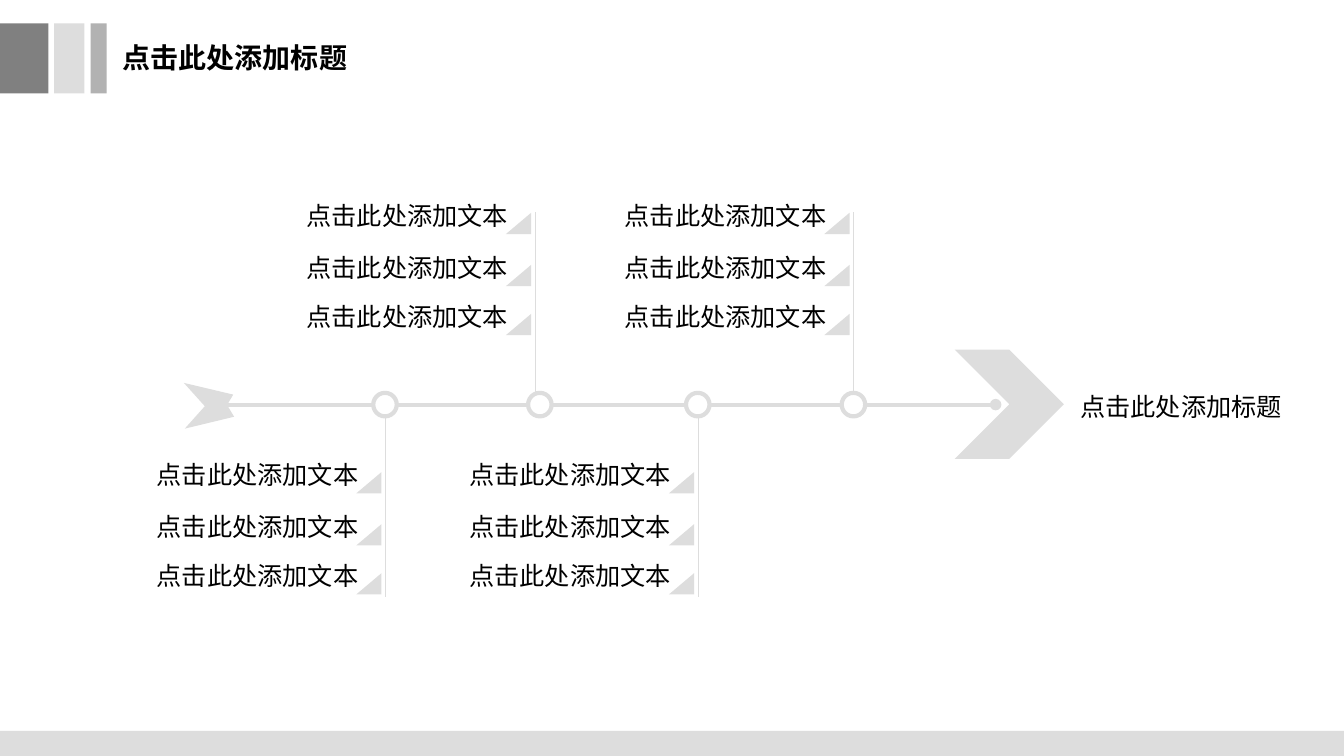
import dataclasses

import lxml.etree
import pptx
import pptx.dml.color
import pptx.enum.shapes
import pptx.enum.text
import pptx.oxml.ns
import pptx.util

Pt = pptx.util.Pt
SHAPES = pptx.enum.shapes.MSO_SHAPE
qn = pptx.oxml.ns.qn


@dataclasses.dataclass(frozen=True)
class Theme:
    font: str = "Noto Sans CJK SC"
    text: str = "000000"
    paper: str = "FFFFFF"
    light: str = "DDDDDD"
    medium: str = "B2B2B2"
    dark: str = "808080"
    title_size: float = 20
    body_size: float = 18


class TimelineSlide:
    def __init__(self, presentation, theme):
        self.theme = theme
        self.slide = presentation.slides.add_slide(presentation.slide_layouts[6])

    def color(self, name):
        return pptx.dml.color.RGBColor.from_string(getattr(self.theme, name))

    def shape(self, kind, left, top, width, height, fill="light", outline=0, rotation=0):
        shape = self.slide.shapes.add_shape(kind, Pt(left), Pt(top), Pt(width), Pt(height))
        shape.shadow.inherit = False
        shape.rotation = rotation
        shape.fill.solid()
        shape.fill.fore_color.rgb = self.color(fill)
        if outline:
            shape.line.color.rgb = self.color("light")
            shape.line.width = Pt(outline)
        else:
            shape.line.fill.background()
        return shape

    def line(self, start_x, start_y, end_x, end_y, weight, oval_start=False):
        connector = self.slide.shapes.add_connector(
            pptx.enum.shapes.MSO_CONNECTOR.STRAIGHT,
            Pt(start_x), Pt(start_y), Pt(end_x), Pt(end_y))
        connector.line.color.rgb = self.color("light")
        connector.line.width = Pt(weight)
        properties = connector._element.spPr
        lxml.etree.SubElement(properties, qn("a:effectLst"))
        if oval_start:
            head = lxml.etree.SubElement(properties.find(qn("a:ln")), qn("a:headEnd"))
            head.set("type", "oval")

    def text(self, words, left, top, width=170, height=29.5, size=None, bold=False):
        text_frame = self.slide.shapes.add_textbox(
            Pt(left), Pt(top), Pt(width), Pt(height)).text_frame
        text_frame.word_wrap = True
        text_frame.vertical_anchor = pptx.enum.text.MSO_ANCHOR.MIDDLE
        text_frame.text = words
        font = text_frame.paragraphs[0].runs[0].font
        font.name = self.theme.font
        font.size = Pt(size or self.theme.body_size)
        font.bold = bold
        font.color.rgb = self.color("text")
        east_asian = lxml.etree.SubElement(font._element, qn("a:ea"))
        east_asian.set("typeface", self.theme.font)

    def branch(self, node_left, stem_x, above):
        node_top, node_size, stem_length = 280.6, 16.8, 129
        self.shape(SHAPES.OVAL, node_left, node_top, node_size, node_size, "paper", 3)
        stem_start = node_top if above else node_top + node_size
        stem_end = stem_start - stem_length if above else stem_start + stem_length
        self.line(stem_x, stem_start, stem_x, stem_end, 0.5)
        first_row = 138.8 if above else 324
        for offset in (0, 37.2, 72.2):
            row = first_row + offset
            marker = self.shape(SHAPES.ISOSCELES_TRIANGLE, stem_x - 21, row + 13.2, 18, 15.2)
            marker.adjustments[0] = 1
            self.text("点击此处添加文本", stem_x - 170.6, row)


def main():
    presentation = pptx.Presentation()
    presentation.slide_width = Pt(960)
    presentation.slide_height = Pt(540)
    theme = Theme()
    timeline = TimelineSlide(presentation, theme)

    timeline.shape(SHAPES.RECTANGLE, 0, 522, 960, 18)
    for left, width, fill in ((0, 34.5, "dark"), (38.6, 21.7, "light"), (64.8, 11.4, "medium")):
        timeline.shape(SHAPES.RECTANGLE, left, 16.6, width, 50.2, fill)
    timeline.text("点击此处添加标题", 80.6, 19.9, 351.4, 41.8, theme.title_size, True)

    timeline.shape(SHAPES.CHEVRON, 682, 249.8, 78, 78)
    timeline.line(711.2, 289, 160, 289, 2.75, oval_start=True)
    for node_left, stem_x, above in (
        (601.2, 609.8, True),
        (490, 498.8, False),
        (377.2, 382.4, True),
        (266.6, 275.5, False),
    ):
        timeline.branch(node_left, stem_x, above)

    timeline.text("点击此处添加标题", 764.6, 275.8)
    for left, top, rotation in ((135.4, 265, 300.7), (136, 280, 239.1)):
        timeline.shape(SHAPES.ISOSCELES_TRIANGLE, left, top, 21.6, 34.6, rotation=rotation)

    presentation.save("out.pptx")


if __name__ == "__main__":
    main()
